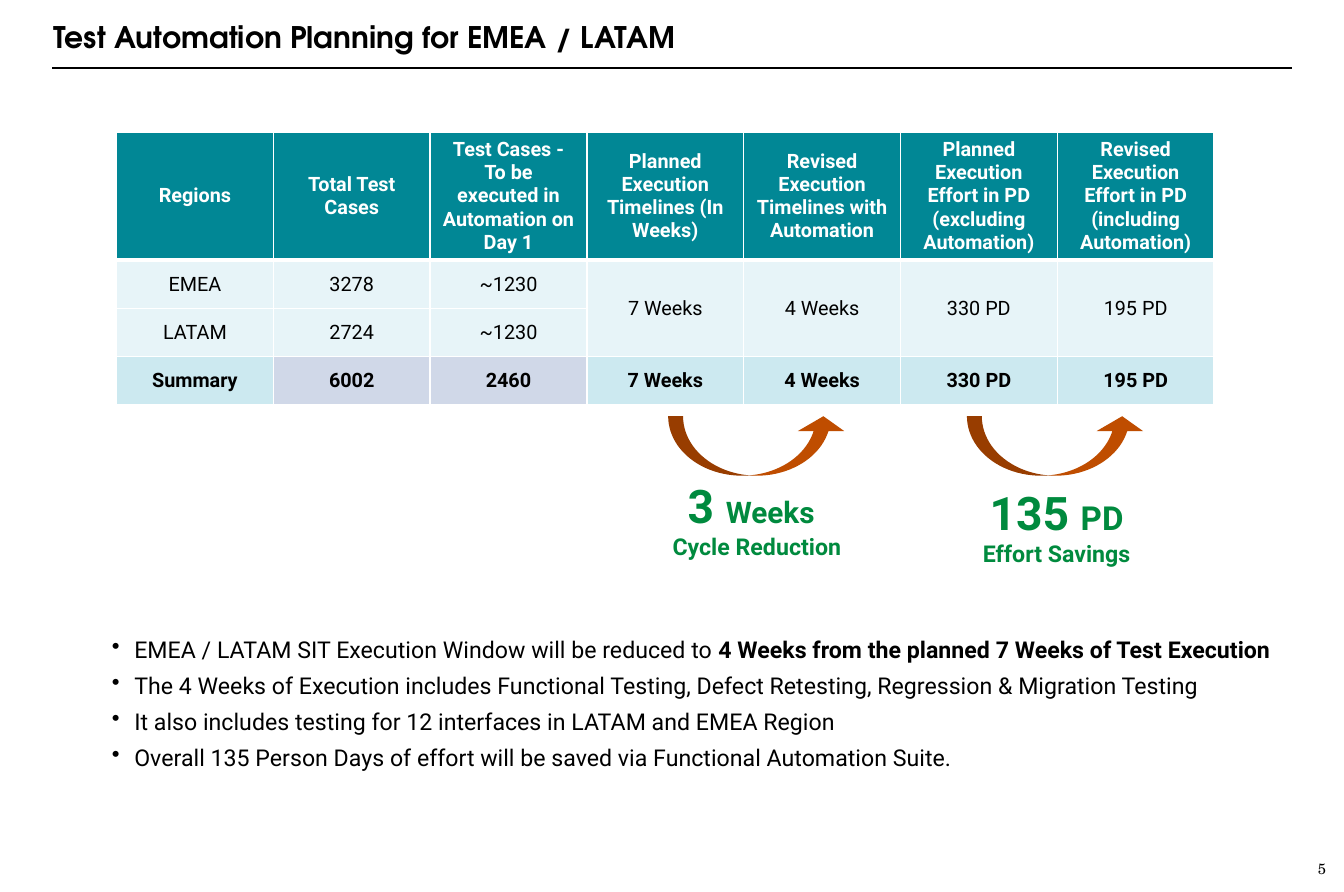
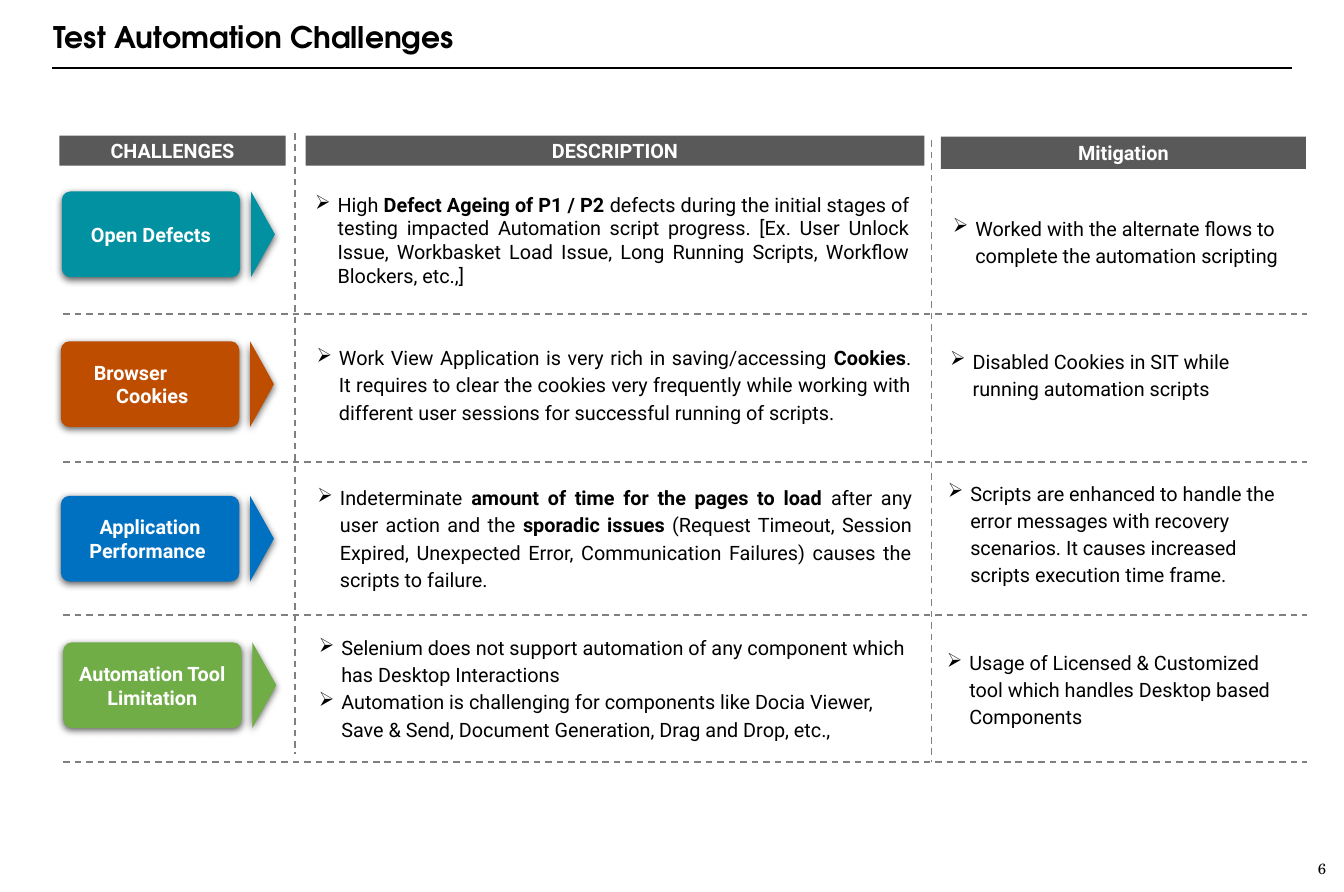
import pptx
import pptx.dml.color
import pptx.enum.dml
import pptx.enum.shapes
import pptx.enum.text
import pptx.oxml
import pptx.oxml.ns
import pptx.util

Cm = pptx.util.Cm
Pt = pptx.util.Pt
SHAPE = pptx.enum.shapes.MSO_SHAPE
ALIGN = pptx.enum.text.PP_ALIGN
ANCHOR = pptx.enum.text.MSO_ANCHOR

COLORS = {
    "black": "000000", "white": "FFFFFF", "grey": "595959", "dash": "808080",
    "header": "018795", "row": "E7F4F8", "summary": "CCE9F0", "total": "D0D8E8",
    "teal": "0191A0", "orange": "BF4D00", "blue": "0070C0", "lime": "70AD47",
    "green": "008A3E",
}
BODY = {"name": "Roboto", "size": Pt(12), "bold": False}
BOLD = {"bold": True}


def rgb(color):
    return pptx.dml.color.RGBColor.from_string(COLORS[color])


def xml(tag, attributes="", inner=""):
    namespace = pptx.oxml.ns.nsdecls("a")
    return pptx.oxml.parse_xml(f"<a:{tag} {namespace} {attributes}>{inner}</a:{tag}>")


def solid(color):
    return f'<a:solidFill><a:srgbClr val="{COLORS[color]}"/></a:solidFill>'


class Deck:
    def __init__(self):
        self.prs = pptx.Presentation()
        self.prs.slide_width, self.prs.slide_height = Cm(28.7), Cm(19.05)
        self.slide = None

    def start(self, title, number):
        """New slide with title, rule and page number."""
        self.slide = self.prs.slides.add_slide(self.prs.slide_layouts[5])
        heading = self.slide.shapes.title
        place = {"left": 0.89, "top": 0.25, "width": 25.65, "height": 1.07}
        for side, length in place.items():
            setattr(heading, side, Cm(length))
        self.fill_frame(heading.text_frame, [[title]], margins=(0.25, 0.13),
                        anchor=ANCHOR.MIDDLE, name="TeX Gyre Adventor", size=Pt(18),
                        bold=True)
        self.line((1.12, 1.45), (27.58, 1.45), "black")
        self.text((26.8, 18.29, 1.52, 0.51), [[number]], align=ALIGN.RIGHT,
                  anchor=ANCHOR.MIDDLE, name="TeX Gyre Schola", size=Pt(9))

    def fill_frame(self, frame, paragraphs, color="black", align=ALIGN.LEFT,
                   anchor=ANCHOR.TOP, margins=(0, 0), spacing=1.0, bullet=None,
                   indent=None, **font):
        """Each paragraph is a list of strings or (string, font changes) pairs."""
        across, down = map(Cm, margins)
        settings = {"word_wrap": True, "vertical_anchor": anchor,
                    "auto_size": pptx.enum.text.MSO_AUTO_SIZE.NONE,
                    "margin_left": across, "margin_right": across,
                    "margin_top": down, "margin_bottom": down}
        for key, value in settings.items():
            setattr(frame, key, value)
        for index, runs in enumerate(paragraphs):
            paragraph = frame.add_paragraph() if index else frame.paragraphs[0]
            paragraph.line_spacing = spacing
            self.fill_paragraph(paragraph, runs, color, align, font)
            if indent:
                props = paragraph._p.get_or_add_pPr()
                props.set("marL", str(Cm(indent)))
                props.set("indent", str(Cm(-0.48)))
                if bullet:
                    props.append(xml("buChar", f'char="{bullet}"'))

    def fill_paragraph(self, paragraph, runs, color, align, font):
        paragraph.alignment = align
        for item in runs:
            words, changes = (item, {}) if isinstance(item, str) else item
            for index, part in enumerate(words.split("\n")):
                if index:
                    paragraph.add_line_break()
                run = paragraph.add_run()
                run.text = part
                run.font.color.rgb = rgb(color)
                for key, value in {**BODY, **font, **changes}.items():
                    setattr(run.font, key, value)

    def text(self, box, paragraphs, **style):
        area = self.slide.shapes.add_textbox(*map(Cm, box))
        self.fill_frame(area.text_frame, paragraphs, **style)

    def shape(self, kind, box, fill, adjust=(), rotation=0, shadow=False):
        shape = self.slide.shapes.add_shape(kind, *map(Cm, box))
        shape.shadow.inherit = False
        shape.fill.solid()
        shape.fill.fore_color.rgb = rgb(fill)
        shape.line.fill.background()
        shape.rotation = rotation
        for index, value in enumerate(adjust):
            shape.adjustments[index] = value
        if shadow:
            effects = shape._element.spPr.find(pptx.oxml.ns.qn("a:effectLst"))
            effects.append(xml(
                "outerShdw",
                f'blurRad="{Pt(4.5)}" dist="{Pt(1.5)}" dir="5400000" rotWithShape="0"',
                '<a:srgbClr val="000000"><a:alpha val="63000"/></a:srgbClr>'))
        return shape

    def label(self, kind, box, fill, words, text=None, **style):
        """Filled shape with bold white text."""
        text_style = {"color": "white", "align": ALIGN.CENTER, "bold": True}
        text_style.update(text or {})
        shape = self.shape(kind, box, fill, **style)
        self.fill_frame(shape.text_frame, [[words]], anchor=ANCHOR.MIDDLE,
                        margins=(0.03, 0), **text_style)

    def line(self, start, end, color, dashed=False):
        line = self.slide.shapes.add_connector(
            pptx.enum.shapes.MSO_CONNECTOR.STRAIGHT, *map(Cm, start + end))
        line.line.color.rgb = rgb(color)
        line.line.width = Pt(1)
        if dashed:
            line.line.dash_style = pptx.enum.dml.MSO_LINE.DASH
        line._element.spPr.append(xml("effectLst"))

    def table(self, box, rows, heights):
        frame = self.slide.shapes.add_table(len(rows), len(rows[0]), *map(Cm, box))
        table = frame.table
        table.horz_banding = False
        for row, height in zip(table.rows, heights):
            row.height = Cm(height)
        for r, row in enumerate(rows):
            for c, words in enumerate(row):
                self.cell(table.cell(r, c), words, r, c, len(rows) - 1)
        return table

    def cell(self, cell, words, r, c, last):
        props = cell._tc.get_or_add_tcPr()
        for side in "LRTB":
            heavy = (r, side) in ((0, "B"), (1, "T"))
            props.append(xml(f"ln{side}", f'w="{Pt(3 if heavy else 1)}"', solid("white")))
        fill = "header" if r == 0 else "row"
        if r == last:
            fill = "total" if c in (1, 2) else "summary"
        cell.fill.solid()
        cell.fill.fore_color.rgb = rgb(fill)
        cell.vertical_anchor = ANCHOR.MIDDLE
        self.fill_paragraph(cell.text_frame.paragraphs[0], [words],
                            "black" if r else "white", ALIGN.CENTER,
                            {"bold": r in (0, last)})


def planning_slide(deck):
    deck.start("Test Automation Planning for EMEA / LATAM", "5")

    # Regions table
    durations = ["7 Weeks", "4 Weeks", "330 PD", "195 PD"]
    rows = [
        ["Regions", "Total Test Cases",
         "Test Cases - To be executed in Automation on Day 1",
         "Planned Execution Timelines (In Weeks)",
         "Revised Execution Timelines with Automation",
         "Planned Execution Effort in PD (excluding Automation)",
         "Revised Execution Effort in PD (including Automation)"],
        ["EMEA", "3278", "~1230"] + durations,
        ["LATAM", "2724", "~1230"] + [""] * 4,
        ["Summary", "6002", "2460"] + durations,
    ]
    regions = deck.table((2.49, 2.82, 23.44, 5.79), rows, (2.7, 1.03, 1.03, 1.03))
    for column in range(3, 7):
        regions.cell(1, column).merge(regions.cell(2, column))

    # Savings
    savings = [
        (14.27, 13.84, 10.19, "3 ", "Weeks", 18, "Cycle Reduction"),
        (20.65, 20.24, 10.34, "135 ", "PD", 20, "Effort Savings"),
    ]
    for arrow_left, left, top, amount, unit, unit_size, caption in savings:
        deck.shape(SHAPE.CURVED_UP_ARROW, (arrow_left, 8.89, 3.81, 1.27), "orange",
                   adjust=(0.25, 0.78, 0.25))
        unit_runs = [(amount, {"size": Pt(28)}), (unit, {"size": Pt(unit_size)})]
        if unit == "Weeks":
            unit_runs.append((" ", {"size": Pt(28)}))
        deck.text((left, top, 4.65, 1.8), [unit_runs, [caption]], color="green",
                  align=ALIGN.CENTER, size=Pt(14), bold=True)

    # Key points
    deck.text((2.08, 13.39, 25.63, 3.12), [
        ["EMEA / LATAM SIT Execution Window will be reduced to ",
         ("4 Weeks from the planned 7 Weeks of Test Execution", BOLD)],
        ["The 4 Weeks of Execution includes Functional Testing, Defect Retesting, "
         "Regression & Migration Testing"],
        ["It also includes testing for 12 interfaces in LATAM and EMEA Region"],
        ["Overall 135 Person Days of effort will be saved via Functional Automation Suite."],
    ], size=Pt(14), spacing=1.3, bullet="•", indent=0.79)


def challenges_slide(deck):
    deck.start("Test Automation Challenges", "6")

    # Column headers
    headers = {"CHALLENGES": (1.27, 2.9, 4.83, 0.64),
               "DESCRIPTION": (6.53, 2.9, 13.21, 0.64),
               "Mitigation": (20.09, 2.92, 7.8, 0.69)}
    for words, box in headers.items():
        deck.label(SHAPE.RECTANGLE, box, "grey", words)

    # Dashed grid
    for y in (6.71, 9.86, 13.13, 16.28):
        deck.line((1.35, y), (27.91, y), "dash", dashed=True)
    for x, top, bottom in ((6.3, 2.84, 16.1), (19.89, 3, 16.28)):
        deck.line((x, top), (x, bottom), "dash", dashed=True)

    # Challenge name, colour and corner; description and mitigation with their boxes
    challenges = [
        ("Open Defects", "teal", (1.32, 4.09),
         (6.73, 4.11, 12.7, 2.06),
         [["High ", ("Defect Ageing of P1 / P2 ", BOLD),
           "defects during the initial stages of testing impacted Automation script "
           "progress. [Ex. User Unlock Issue, Workbasket Load Issue, Long Running "
           "Scripts, Workflow Blockers, etc.,]"]],
         (20.35, 4.55, 7.32, 1.17),
         "Worked with the alternate flows to complete the automation scripting"),
        ("Browser\nCookies", "orange", (1.3, 7.29),
         (6.76, 7.32, 12.7, 1.75),
         [["Work View Application is very rich in saving/accessing ", ("Cookies", BOLD),
           ". It requires to clear the cookies very frequently while working with "
           "different user sessions for successful running of scripts."]],
         (20.29, 7.39, 7.37, 1.17),
         "Disabled Cookies in SIT while running automation scripts"),
        ("Application Performance ", "blue", (1.3, 10.59),
         (6.78, 10.31, 12.7, 2.34),
         [["Indeterminate ", ("amount of time for the pages to load ", BOLD),
           "after any user action and the ", ("sporadic issues ", BOLD),
           "(Request Timeout, Session Expired, Unexpected Error, Communication "
           "Failures) causes the scripts to failure."]],
         (20.24, 10.21, 7.42, 2.34),
         "Scripts are enhanced to handle the error messages with recovery scenarios. "
         "It causes increased scripts execution time frame."),
        ("Automation Tool Limitation", "lime", (1.35, 13.72),
         (6.81, 13.51, 12.7, 2.34),
         [["Selenium does not support automation of any component which has "
           "Desktop Interactions"],
          ["Automation is challenging for components like Docia Viewer, Save & Send, "
           "Document Generation, Drag and Drop, etc.,"]],
         (20.22, 13.82, 7.44, 1.75),
         "Usage of Licensed & Customized tool which handles Desktop based Components"),
    ]
    bullets = {"bullet": "➢", "indent": 0.48}
    for row, challenge in enumerate(challenges):
        name, color, (left, top), about_box, about, remedy_box, remedy = challenge
        stepped = {"align": ALIGN.LEFT, "indent": 1.1} if "\n" in name else {}
        deck.label(SHAPE.ROUNDED_RECTANGLE, (left, top, 3.81, 1.83), color, name,
                   adjust=(0.1,), shadow=True, text=stepped)
        deck.shape(SHAPE.ISOSCELES_TRIANGLE, (left + 3.38, top + 0.66, 1.83, 0.51), color,
                   rotation=90, shadow=True)
        deck.text(about_box, about, spacing=1.14 if row else 1.0,
                  align=ALIGN.JUSTIFY if row < 3 else ALIGN.LEFT, **bullets)
        deck.text(remedy_box, [[remedy]], spacing=1.14, **bullets)


def main():
    deck = Deck()
    planning_slide(deck)
    challenges_slide(deck)
    deck.prs.save("out.pptx")


if __name__ == "__main__":
    main()
